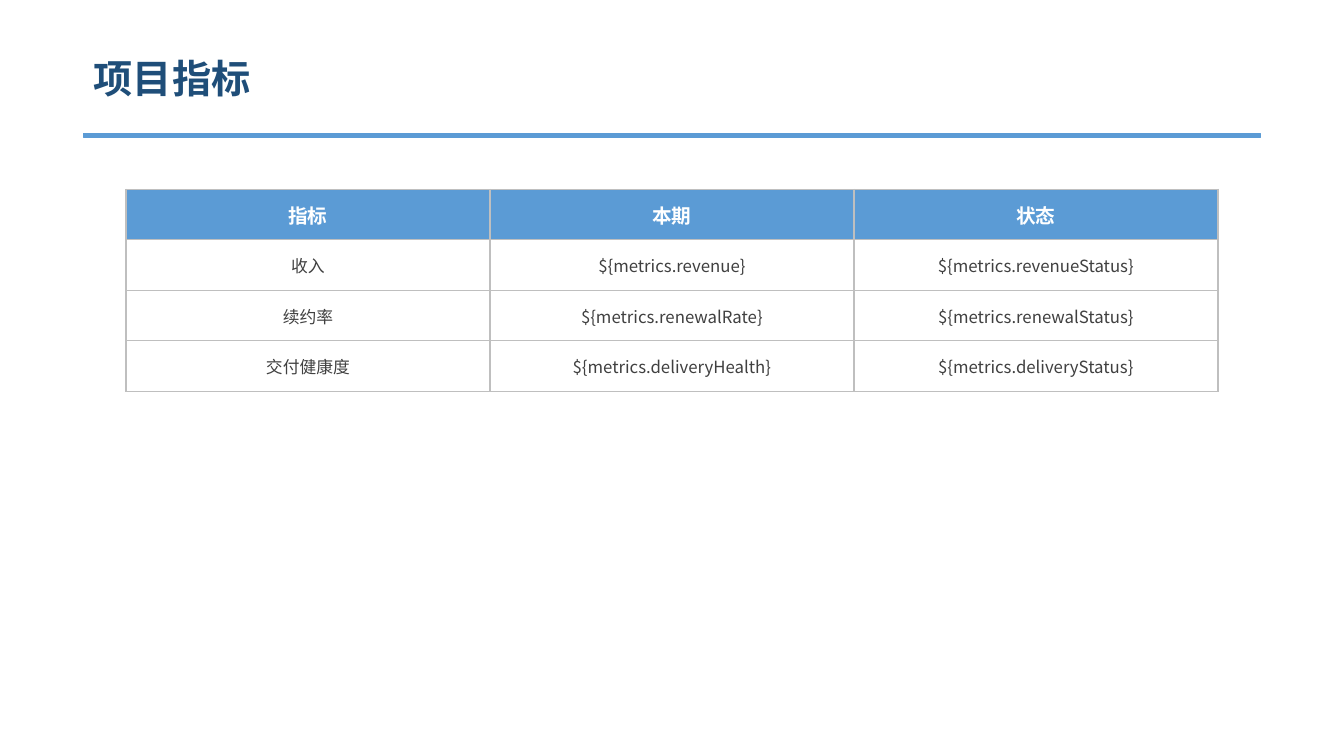
from lxml.etree import SubElement
from pptx import Presentation
from pptx.dml.color import RGBColor
from pptx.enum.shapes import MSO_SHAPE as Preset
from pptx.enum.text import MSO_ANCHOR as Anchor, MSO_AUTO_SIZE as AutoSize, PP_ALIGN as Align
from pptx.oxml.ns import qn
from pptx.util import Inches, Pt

HEADERS = ["指标", "本期", "状态"]
METRICS = [
    ["收入", "${metrics.revenue}", "${metrics.revenueStatus}"],
    ["续约率", "${metrics.renewalRate}", "${metrics.renewalStatus}"],
    ["交付健康度", "${metrics.deliveryHealth}", "${metrics.deliveryStatus}"],
]


def color(value):
    return RGBColor.from_string(value)


class MetricsPage:
    """Holds the style and the current slide, and draws its elements."""

    navy, blue, white, gray, ink = "1F4E79", "5B9BD5", "FFFFFF", "BFBFBF", "404040"
    text_font, value_font = "Calibri", "Noto Sans CJK SC"

    def __init__(self, deck):
        self.page = deck.slides.add_slide(deck.slide_layouts[5])

    def set_text(self, frame, text, size, ink, align, bold=False, font=text_font):
        para = frame.paragraphs[0]
        para.text = text
        para.alignment = align
        para.font.name = font
        para.font.size = Pt(size)
        para.font.bold = bold
        para.font.color.rgb = color(ink)

    def title(self, text, left, top, width, height):
        box = self.page.shapes.title
        box.left, box.top = Inches(left), Inches(top)
        box.width, box.height = Inches(width), Inches(height)
        frame = box.text_frame
        frame.auto_size = AutoSize.NONE
        frame.vertical_anchor = Anchor.TOP
        self.set_text(frame, text, 28, self.navy, Align.LEFT, bold=True)

    def rule(self, left, top, width, height):
        bar = self.page.shapes.add_shape(
            Preset.RECTANGLE, Inches(left), Inches(top), Inches(width), Inches(height))
        bar.shadow.inherit = False
        bar.fill.solid()
        bar.fill.fore_color.rgb = color(self.blue)
        bar.line.color.rgb = color(self.blue)
        bar.line.width = Pt(0.75)

    def borders(self, cell):
        properties = cell._tc.get_or_add_tcPr()
        for position, side in enumerate(["a:lnL", "a:lnR", "a:lnT", "a:lnB"]):
            line = properties.makeelement(qn(side), {"w": str(Pt(1))})
            fill = SubElement(line, qn("a:solidFill"))
            SubElement(fill, qn("a:srgbClr"), {"val": self.gray})
            properties.insert(position, line)

    def cell(self, cell, text, header, font):
        cell.vertical_anchor = Anchor.MIDDLE
        cell.margin_left = cell.margin_right = Inches(0.08)
        cell.margin_top, cell.margin_bottom = Inches(0.06), Inches(0.05)
        cell.fill.solid()
        cell.fill.fore_color.rgb = color(self.blue if header else self.white)
        self.borders(cell)
        size, ink = (14, self.white) if header else (12, self.ink)
        self.set_text(cell.text_frame, text, size, ink, Align.CENTER, header, font)

    def table(self, rows, left, top, width, height):
        table = self.page.shapes.add_table(
            len(rows), len(rows[0]),
            Inches(left), Inches(top), Inches(width), Inches(height)).table
        table.horz_banding = False
        for row, texts in enumerate(rows):
            for column, text in enumerate(texts):
                font = self.value_font if row and column else self.text_font
                self.cell(table.cell(row, column), text, row == 0, font)


def main():
    deck = Presentation()
    deck.slide_width, deck.slide_height = Inches(13.33), Inches(7.5)
    metrics = MetricsPage(deck)
    metrics.title("项目指标", 0.83, 0.49, 11.67, 0.76)
    metrics.rule(0.83, 1.32, 11.67, 0.04)
    metrics.table([HEADERS] + METRICS, 1.25, 1.88, 10.83, 2)
    deck.save("out.pptx")


if __name__ == "__main__":
    main()
